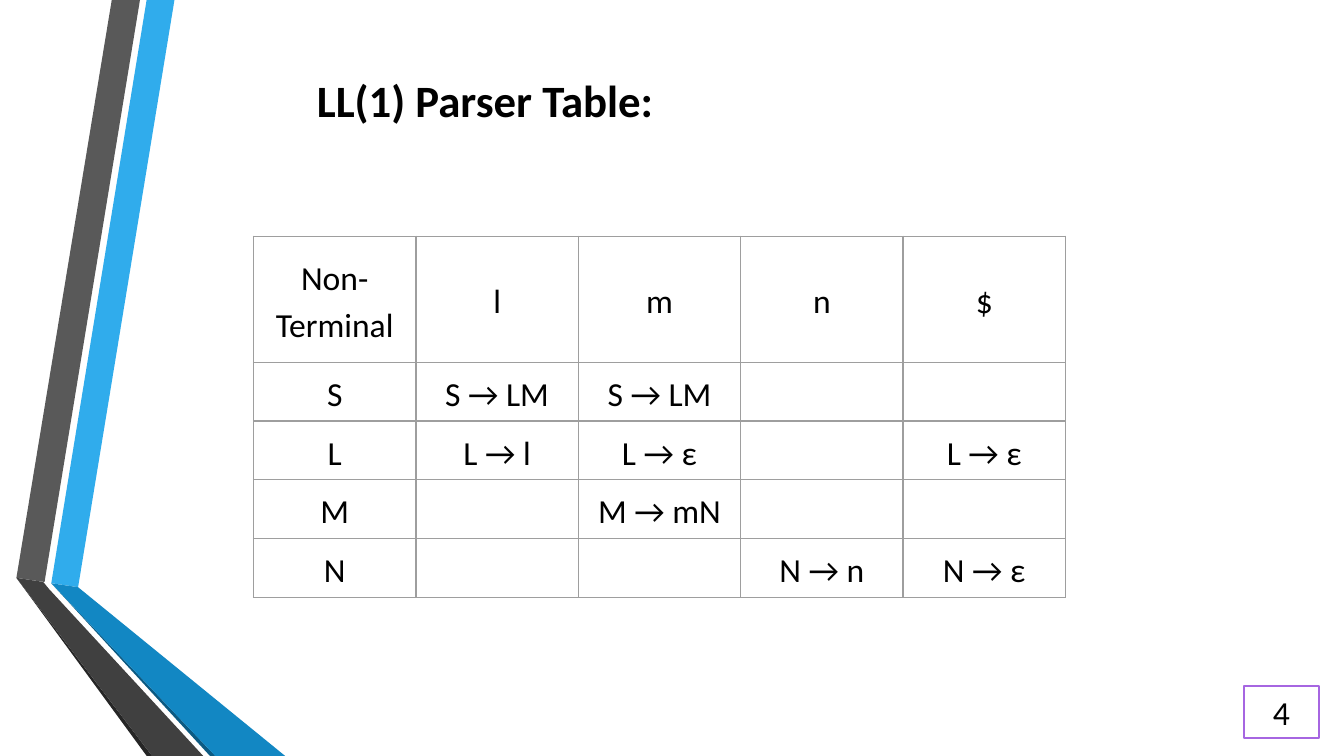
import pptx
import pptx.util
import pptx.dml.color
import pptx.enum.shapes
import pptx.enum.text
import pptx.oxml
import pptx.oxml.ns

Pt = pptx.util.Pt
Align = pptx.enum.text.PP_ALIGN
Anchor = pptx.enum.text.MSO_ANCHOR

HUES = {
    "sky": "30ACEC", "gray": "595959", "coal": "262626", "navy": "0C5A82",
    "blue": "1287C3", "dark": "404040", "grid": "9E9E9E", "edge": "A666E1",
    "text": "000000", "page": "FFFFFF",
}

BANDS = [
    ("sky", [(18.7, 312.5), (33.1, 314.6), (84.7, 0), (69.8, 0)]),
    ("gray", [(66.2, 0), (51.1, 0), (0, 309.6), (15.1, 311.8)]),
    ("coal", [(0, 309.6), (69.8, 405), (72.7, 405)]),
    ("navy", [(18.7, 312.5), (103.7, 405), (106.6, 405)]),
    ("blue", [(18.7, 312.5), (106.6, 405), (144, 405), (33.1, 314.6)]),
    ("dark", [(100.1, 405), (17.3, 315.4), (14.4, 311.8), (0, 309.6),
              (72.7, 405)]),
]

ROWS = [
    ["Non-Terminal", "l", "m", "n", "$"],
    ["S", "S → LM", "S → LM", "", ""],
    ["L", "L → l", "L → ε", "", "L → ε"],
    ["M", "", "M → mN", "", ""],
    ["N", "", "", "N → n", "N → ε"],
]


def tint(name):
    return pptx.dml.color.RGBColor.from_string(HUES[name])


def paint(fill, name):
    fill.solid()
    fill.fore_color.rgb = tint(name)


def write(para, text, size, bold=False):
    run = para.add_run()
    run.text = text
    run.font.name = "Calibri"
    run.font.size = Pt(size)
    run.font.bold = bold
    run.font.color.rgb = tint("text")


def add_bands(slide, left, top):
    for name, dots in BANDS:
        ends = [(Pt(x), Pt(y)) for x, y in dots]
        form = slide.shapes.build_freeform(*ends[0])
        form.add_line_segments(ends[1:], close=True)
        band = form.convert_to_shape(Pt(left), Pt(top))
        band.shadow.inherit = False
        paint(band.fill, name)
        band.line.fill.background()


def add_title(slide, left, top, width, height):
    box = slide.shapes.add_textbox(Pt(left), Pt(top), Pt(width), Pt(height))
    frame = box.text_frame
    frame.word_wrap = False
    frame.vertical_anchor = Anchor.TOP
    write(frame.paragraphs[0], "LL(1) Parser Table:", 24, True)


def add_rules(cell):
    props = cell._tc.get_or_add_tcPr()
    for spot, side in enumerate("LRTB"):
        rule = pptx.oxml.parse_xml(
            f'<a:ln{side} {pptx.oxml.ns.nsdecls("a")} w="{Pt(0.75)}">'
            f'<a:solidFill><a:srgbClr val="{HUES["grid"]}"/></a:solidFill>'
            f'</a:ln{side}>')
        props.insert(spot, rule)


def add_grid(slide, left, top, width, height, head):
    count = len(ROWS[0])
    frame = slide.shapes.add_table(
        len(ROWS), count, Pt(left), Pt(top), Pt(width), Pt(height))
    grid = frame.table
    grid.first_row = False
    grid.horz_banding = False
    for col in grid.columns:
        col.width = Pt(width / count)
    for r, texts in enumerate(ROWS):
        rest = (height - head) / (len(ROWS) - 1)
        grid.rows[r].height = Pt(rest if r else head)
        for c, text in enumerate(texts):
            cell = grid.cell(r, c)
            cell.fill.background()
            add_rules(cell)
            cell.margin_left = cell.margin_right = Pt(0.75)
            cell.margin_top = cell.margin_bottom = Pt(0.75)
            cell.vertical_anchor = Anchor.MIDDLE
            para = cell.text_frame.paragraphs[0]
            para.alignment = Align.CENTER
            para.line_spacing = 1.15
            if text:
                write(para, text, 18)


def add_number(slide, left, top, width, height):
    box = slide.shapes.add_shape(
        pptx.enum.shapes.MSO_SHAPE.RECTANGLE,
        Pt(left), Pt(top), Pt(width), Pt(height))
    box.shadow.inherit = False
    paint(box.fill, "page")
    box.line.color.rgb = tint("edge")
    box.line.width = Pt(1.25)
    frame = box.text_frame
    frame.word_wrap = True
    frame.vertical_anchor = Anchor.MIDDLE
    para = frame.paragraphs[0]
    para.alignment = Align.CENTER
    write(para, "4", 18)


def main():
    deck = pptx.Presentation()
    deck.slide_width, deck.slide_height = Pt(720), Pt(405)
    slide = deck.slides.add_slide(deck.slide_layouts[6])
    paint(slide.background.fill, "page")
    add_bands(slide, 8.8, 0)
    add_grid(slide, 135.8, 126.5, 435, 193.6, 67.6)
    add_title(slide, 162.7, 35.3, 198.7, 65.5)
    add_number(slide, 666.5, 367.7, 40, 27.6)
    deck.save("out.pptx")


if __name__ == "__main__":
    main()
